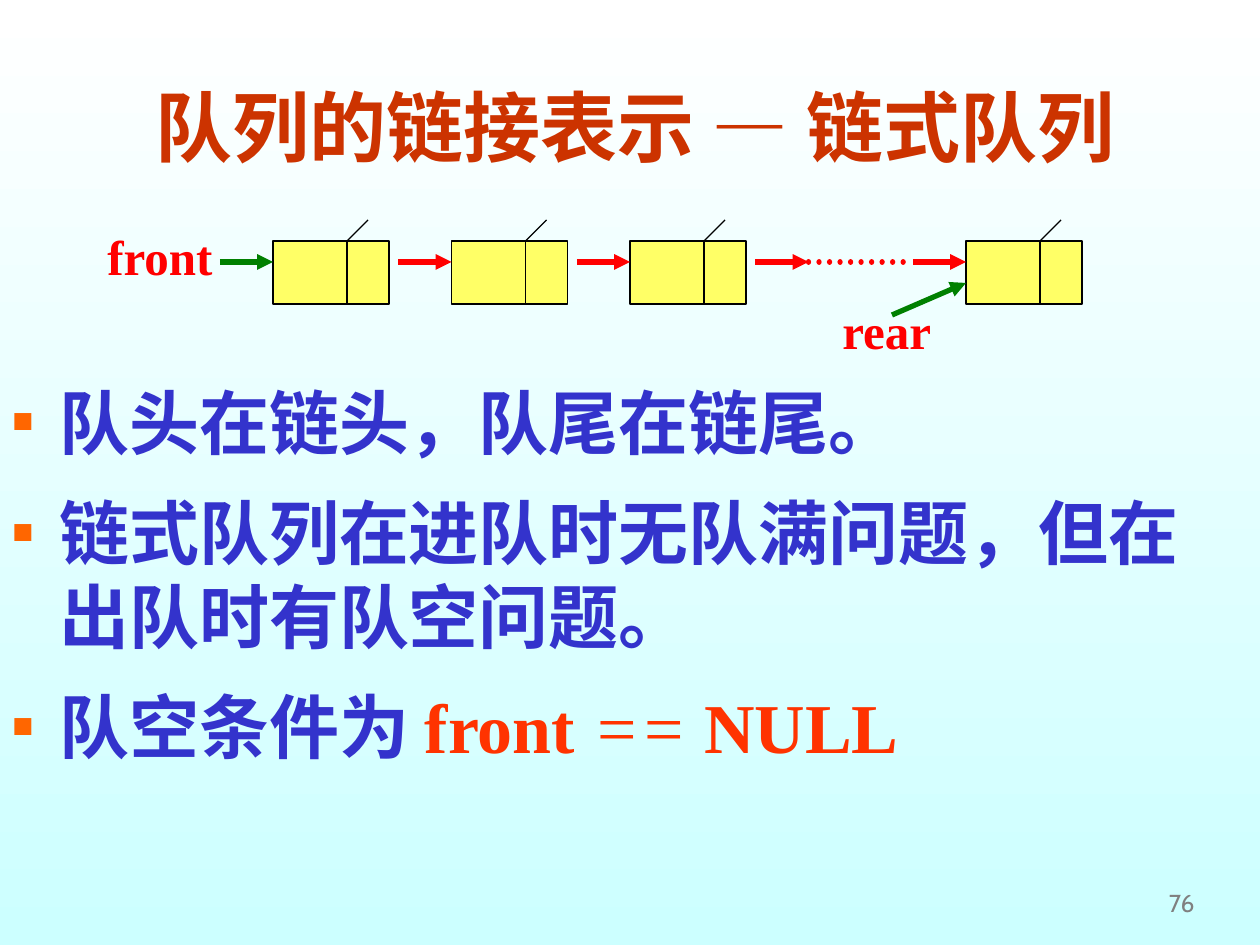
import pptx
import pptx.util
import pptx.dml.color
import pptx.enum.dml
import pptx.enum.shapes
import pptx.enum.text
import pptx.oxml
import pptx.oxml.ns

RGB = pptx.dml.color.RGBColor
ALIGN = pptx.enum.text.PP_ALIGN
ANCHOR = pptx.enum.text.MSO_ANCHOR

WHITE = RGB(0xFF, 0xFF, 0xFF)
PALE_CYAN = RGB(0xCC, 0xFF, 0xFF)
BRICK = RGB(0xCC, 0x33, 0x00)
BLUE = RGB(0x33, 0x33, 0xCC)
ORANGE = RGB(0xFF, 0x66, 0x00)
VERMILION = RGB(0xFF, 0x33, 0x00)
RED = RGB(0xFF, 0x00, 0x00)
GREEN = RGB(0x00, 0x80, 0x00)
YELLOW = RGB(0xFF, 0xFF, 0x66)
BLACK = RGB(0x00, 0x00, 0x00)
GRAY = RGB(0x80, 0x80, 0x80)

PX_PER_INCH = 126
SERIF = "Times New Roman"


def px(length):
    return pptx.util.Emu(round(length * 914400 / PX_PER_INCH))


def add_xml(parent, tag, **attributes):
    child = pptx.oxml.parse_xml(f"<a:{tag} {pptx.oxml.ns.nsdecls('a')}/>")
    for name, value in attributes.items():
        child.set(name, value)
    parent.append(child)
    return child


def add_bullet(paragraph, color, indent):
    properties = paragraph._p.get_or_add_pPr()
    properties.set("marL", str(px(indent)))
    properties.set("indent", str(-px(indent)))
    add_xml(add_xml(properties, "buClr"), "srgbClr", val=str(color))
    add_xml(properties, "buSzPct", val="50000")
    add_xml(properties, "buFont", typeface=SERIF)
    add_xml(properties, "buChar", char="■")


def add_text(slide, box, paragraphs, size, color, font=SERIF, bold=True, align=ALIGN.LEFT,
             anchor=ANCHOR.TOP, wrap=True, bullet=None, indent=0, space_before=0):
    """Each paragraph is a list of (text, format overrides) runs."""
    frame = slide.shapes.add_textbox(*map(px, box)).text_frame
    frame.word_wrap = wrap
    frame.vertical_anchor = anchor
    for index, runs in enumerate(paragraphs):
        paragraph = frame.add_paragraph() if index else frame.paragraphs[0]
        paragraph.alignment = align
        if index and space_before:
            paragraph.space_before = pptx.util.Pt(space_before)
        if bullet is not None:
            add_bullet(paragraph, bullet, indent)
        for text, changes in runs:
            run = paragraph.add_run()
            run.text = text
            run.font.name = font
            run.font.size = pptx.util.Pt(size)
            run.font.bold = changes.get("bold", bold)
            run.font.italic = changes.get("italic", False)
            run.font.color.rgb = changes.get("color", color)


def add_line(slide, start, end, color, width, arrow=False, dotted=False):
    line = slide.shapes.add_connector(
        pptx.enum.shapes.MSO_CONNECTOR.STRAIGHT, *map(px, start + end))
    line.line.color.rgb = color
    line.line.width = pptx.util.Pt(width)
    if dotted:
        line.line.dash_style = pptx.enum.dml.MSO_LINE.ROUND_DOT
        line.line._ln.set("cap", "rnd")
    if arrow:
        add_xml(line.line._ln, "tailEnd", type="triangle")
    add_xml(line._element.spPr, "effectLst")


def draw_background(slide):
    fill = slide.background.fill
    fill.gradient()
    fill.gradient_angle = 270
    for stop, color in zip(fill.gradient_stops, (WHITE, PALE_CYAN)):
        stop.color.rgb = color


def draw_title(slide, box):
    add_text(slide, box, [[("队列的链接表示 — 链式队列", {})]], 44, BRICK,
             align=ALIGN.CENTER, anchor=ANCHOR.MIDDLE)


def draw_node(slide, box):
    left, top, width, height = box
    cell = slide.shapes.add_shape(pptx.enum.shapes.MSO_SHAPE.RECTANGLE, *map(px, box))
    cell.shadow.inherit = False
    cell.fill.solid()
    cell.fill.fore_color.rgb = YELLOW
    cell.line.color.rgb = BLACK
    cell.line.width = pptx.util.Pt(0.75)
    # Pointer field and the stroke above it
    divider = left + 74
    add_line(slide, (divider, top), (divider, top + height), BLACK, 0.75)
    add_line(slide, (divider, top), (divider + 21, top - 21), BLACK, 0.75)


def draw_linked_queue(slide, box):
    left, top, width, height = box
    node_width, node_height, pitch, arrow_length = 116, 63, 178.5, 53
    first = left + 178
    last = left + width - node_width
    node_top = top + 21
    link_y = node_top + 21
    node_lefts = [first + i * pitch for i in range(3)] + [last]

    # Nodes, each with an incoming arrow; the first one comes from front
    for node_left in node_lefts:
        draw_node(slide, (node_left, node_top, node_width, node_height))
        add_line(slide, (node_left - arrow_length, link_y), (node_left, link_y),
                 GREEN if node_left == first else RED, 3, arrow=True)

    # Omitted nodes
    gap_start = first + 3 * pitch
    add_line(slide, (gap_start - arrow_length, link_y), (gap_start, link_y), RED, 3, arrow=True)
    add_line(slide, (gap_start, link_y), (last - arrow_length, link_y), RED, 3, dotted=True)

    # Queue pointers
    add_text(slide, (left, top, 131, 72), [[("front", {})]], 28, RED, wrap=False)
    add_text(slide, (left + 735, top + 74, 115, 72), [[("rear", {})]], 28, RED, wrap=False)
    add_line(slide, (last - 74, top + 95), (last, top + 63), GREEN, 3, arrow=True)


def draw_points(slide, box):
    points = [
        [("队头在链头，队尾在链尾。", {})],
        [("链式队列在进队时无队满问题，但在出队时有队空问题。", {})],
        [("队空条件为 ", {}),
         ("front ", {"color": VERMILION}),
         ("==", {"color": VERMILION, "bold": False, "italic": True}),
         (" NULL", {"color": VERMILION})],
    ]
    add_text(slide, box, points, 40, BLUE, bullet=ORANGE, indent=47, space_before=15)


def draw_page_number(slide, box):
    add_text(slide, box, [[("76", {})]], 14, GRAY, font="Cabin", bold=False,
             align=ALIGN.RIGHT, anchor=ANCHOR.BOTTOM)


def main():
    deck = pptx.Presentation()
    deck.slide_width, deck.slide_height = px(1260), px(945)
    slide = deck.slides.add_slide(deck.slide_layouts[6])
    draw_background(slide)
    draw_title(slide, (42, 63, 1187, 126))
    draw_linked_queue(slide, (95, 220, 987, 146))
    draw_points(slide, (0, 373, 1260, 466))
    draw_page_number(slide, (945, 861, 262, 63))
    deck.save("out.pptx")


if __name__ == "__main__":
    main()
